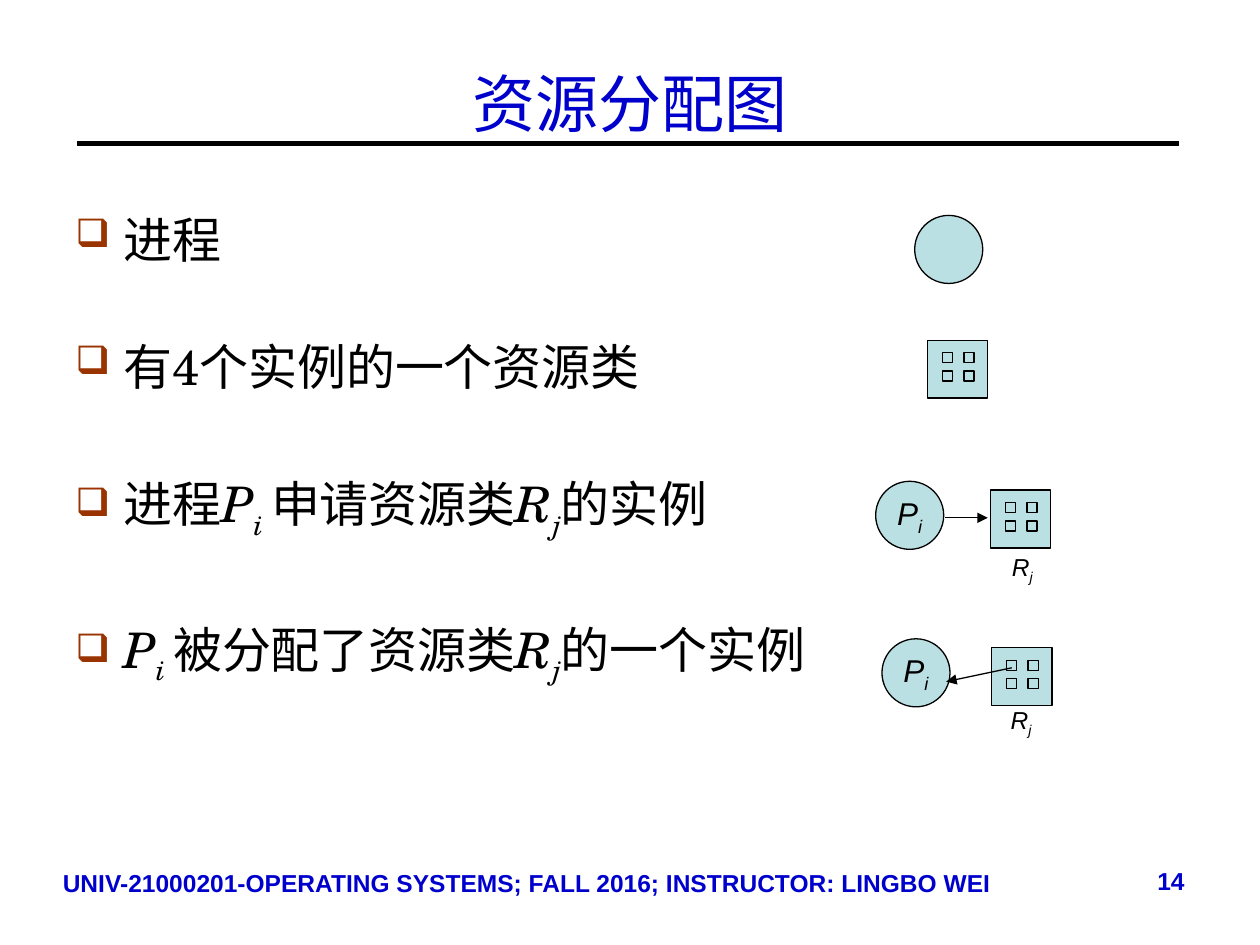
from lxml.etree import SubElement
from pptx import Presentation
from pptx.dml.color import RGBColor
from pptx.enum.shapes import MSO_CONNECTOR, MSO_SHAPE
from pptx.enum.text import MSO_ANCHOR, PP_ALIGN
from pptx.oxml.ns import qn
from pptx.util import Inches, Pt

BLACK = RGBColor(0x00, 0x00, 0x00)
BLUE = RGBColor(0x00, 0x00, 0xCC)
BROWN = RGBColor(0x99, 0x33, 0x00)
TEAL = RGBColor(0xBB, 0xE0, 0xE3)

# Run styles
PLAIN, ITALIC, SUBSCRIPT = "plain", "italic", "subscript"
PROCESS = [("P", ITALIC), ("i", SUBSCRIPT)]
PROCESS_SPACED = [("P", ITALIC), ("i ", SUBSCRIPT)]
RESOURCE = [("R", ITALIC), ("j", SUBSCRIPT)]

# Space before in points, then the runs
BULLETS = [
    (5.6, [("进程", PLAIN)]),
    (39, [("有4个实例的一个资源类", PLAIN)]),
    (45, [("进程", PLAIN), *PROCESS_SPACED, ("申请资源类", PLAIN),
          *RESOURCE, ("的实例", PLAIN)]),
    (45, [*PROCESS_SPACED, ("被分配了资源类", PLAIN),
          *RESOURCE, ("的一个实例", PLAIN)]),
]


def write_text(paragraph, runs, size=14, font="Arial", color=BLACK,
               bold=False, align=PP_ALIGN.LEFT):
    """Write (text, style) runs into a paragraph."""
    paragraph.alignment = align
    for text, style in runs:
        run = paragraph.add_run()
        run.text = text
        run.font.size = Pt(size)
        run.font.name = font
        run.font.color.rgb = color
        run.font.bold = bold
        run.font.italic = style != PLAIN
        if style == SUBSCRIPT:
            run.font._element.set("baseline", "-25000")


def add_text_box(slide, left, top, width, height, wrap=True,
                 anchor=MSO_ANCHOR.TOP):
    box = slide.shapes.add_textbox(Inches(left), Inches(top),
                                   Inches(width), Inches(height))
    frame = box.text_frame
    frame.word_wrap = wrap
    frame.vertical_anchor = anchor
    return frame


def add_bullet(paragraph):
    properties = paragraph._p.get_or_add_pPr()
    properties.set("marL", str(Inches(0.38)))
    properties.set("indent", str(Inches(-0.38)))
    color = SubElement(properties, qn("a:buClr"))
    SubElement(color, qn("a:srgbClr"), val=str(BROWN))
    SubElement(properties, qn("a:buSzPct"), val="80000")
    SubElement(properties, qn("a:buChar"), char="❑")


def add_bullet_list(slide):
    frame = add_text_box(slide, 0.5, 1.61, 9, 5.08)
    for index, (space, runs) in enumerate(BULLETS):
        paragraph = frame.add_paragraph() if index else frame.paragraphs[0]
        paragraph.space_before = Pt(space)
        write_text(paragraph, runs, size=28, font="TeX Gyre Schola")
        add_bullet(paragraph)


def add_filled_shape(shapes, kind, left, top, width, height):
    shape = shapes.add_shape(kind, Inches(left), Inches(top),
                             Inches(width), Inches(height))
    shape.shadow.inherit = False
    shape.fill.solid()
    shape.fill.fore_color.rgb = TEAL
    shape.line.color.rgb = BLACK
    shape.line.width = Pt(0.75)
    return shape


def add_process(slide, left, top, label=()):
    circle = add_filled_shape(slide.shapes, MSO_SHAPE.OVAL,
                              left, top, 0.54, 0.54)
    frame = circle.text_frame
    frame.word_wrap = False
    frame.vertical_anchor = MSO_ANCHOR.MIDDLE
    write_text(frame.paragraphs[0], label, size=18, align=PP_ALIGN.CENTER)


def add_resource(slide, left, top):
    """Add a resource class holding a 2 x 2 grid of instances."""
    shapes = slide.shapes.add_group_shape().shapes
    add_filled_shape(shapes, MSO_SHAPE.RECTANGLE, left, top, 0.48, 0.46)
    for row in range(2):
        for column in range(2):
            add_filled_shape(shapes, MSO_SHAPE.RECTANGLE,
                             left + 0.12 + 0.17 * column,
                             top + 0.1 + 0.145 * row, 0.08, 0.08)


def add_resource_label(slide, left, top):
    frame = add_text_box(slide, left, top, 0.37, 0.33, wrap=False,
                         anchor=MSO_ANCHOR.MIDDLE)
    write_text(frame.paragraphs[0], RESOURCE, align=PP_ALIGN.CENTER)


def add_line(slide, start, end, width=0.75, arrow=False):
    line = slide.shapes.add_connector(
        MSO_CONNECTOR.STRAIGHT, *(Inches(value) for value in (*start, *end)))
    line.line.color.rgb = BLACK
    line.line.width = Pt(width)
    if arrow:
        SubElement(line.line._get_or_add_ln(), qn("a:tailEnd"),
                   type="triangle")
    SubElement(line._element.spPr, qn("a:effectLst"))


def add_title(slide, text):
    title = slide.shapes.title
    title.left, title.top = Inches(0.5), Inches(0.19)
    title.width, title.height = Inches(9), Inches(1.25)
    title.text_frame.vertical_anchor = MSO_ANCHOR.MIDDLE
    write_text(title.text_frame.paragraphs[0], [(text, PLAIN)], size=36,
               font="Times New Roman", color=BLUE, align=PP_ALIGN.CENTER)


def add_footer(slide, left, top, width, text, align):
    frame = add_text_box(slide, left, top, width, 0.52)
    write_text(frame.paragraphs[0], [(text, PLAIN)], color=BLUE, bold=True,
               align=align)


def main():
    presentation = Presentation()
    presentation.slide_width = Inches(10)
    presentation.slide_height = Inches(7.5)
    slide = presentation.slides.add_slide(presentation.slide_layouts[5])

    # Heading and text
    add_line(slide, (0.61, 1.14), (9.36, 1.14), width=3)
    add_title(slide, "资源分配图")
    add_bullet_list(slide)

    # Footer and slide number
    add_footer(slide, 0.4, 6.84, 7.88,
               "UNIV-21000201-OPERATING SYSTEMS; FALL 2016; "
               "INSTRUCTOR: LINGBO WEI", PP_ALIGN.LEFT)
    add_footer(slide, 8.49, 6.82, 1.01, "14", PP_ALIGN.RIGHT)

    # Symbols for a process and a resource class
    add_process(slide, 7.26, 1.71)
    add_resource(slide, 7.36, 2.7)

    # Request: process to resource class
    add_process(slide, 6.95, 3.82, PROCESS)
    add_resource(slide, 7.86, 3.89)
    add_line(slide, (7.5, 4.11), (7.84, 4.11), arrow=True)
    add_resource_label(slide, 7.93, 4.35)

    # Assignment: instance to process
    add_process(slide, 7, 5.07, PROCESS)
    add_resource(slide, 7.87, 5.14)
    add_line(slide, (8.03, 5.3), (7.51, 5.41), arrow=True)
    add_resource_label(slide, 7.92, 5.56)

    presentation.save("out.pptx")


if __name__ == "__main__":
    main()
